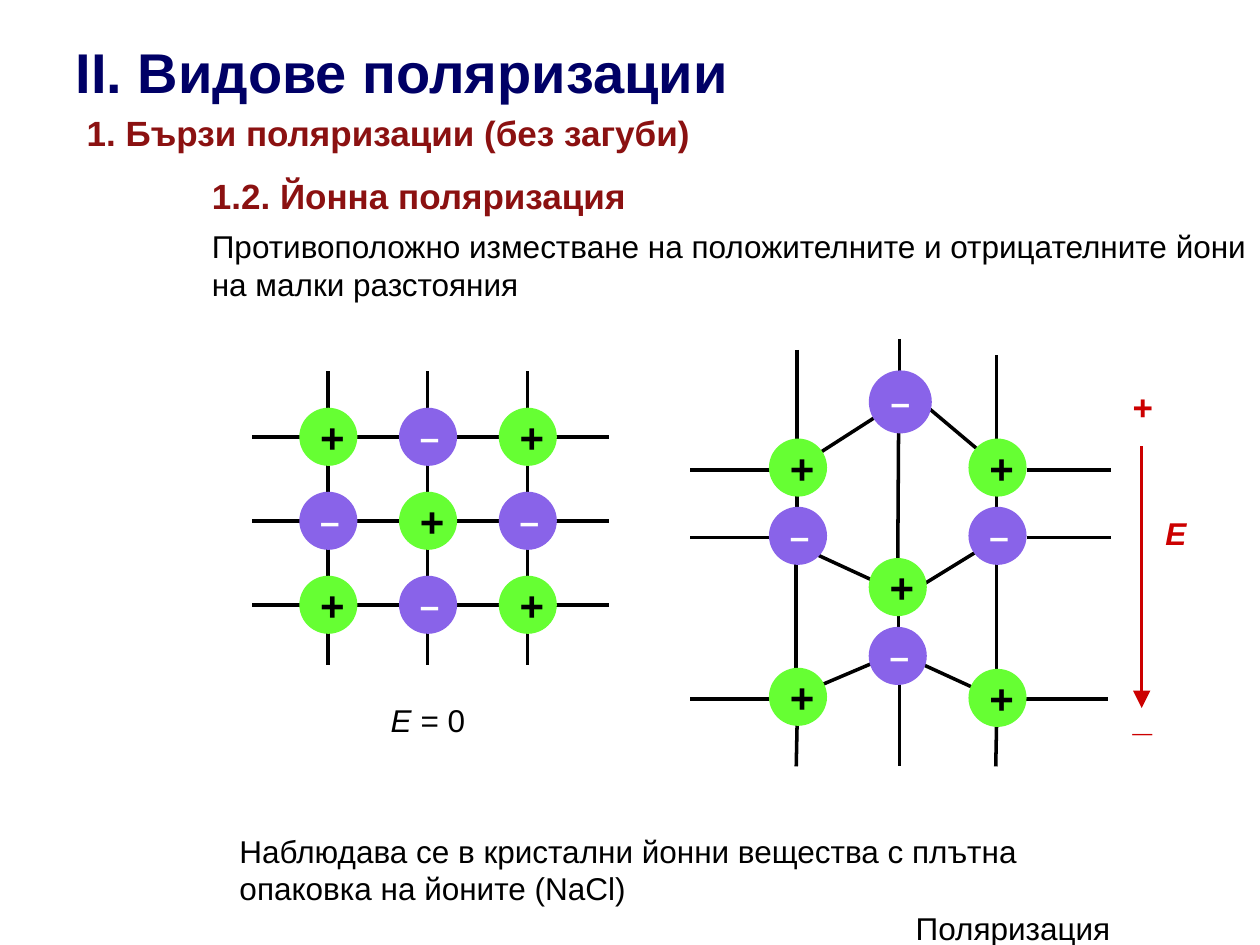
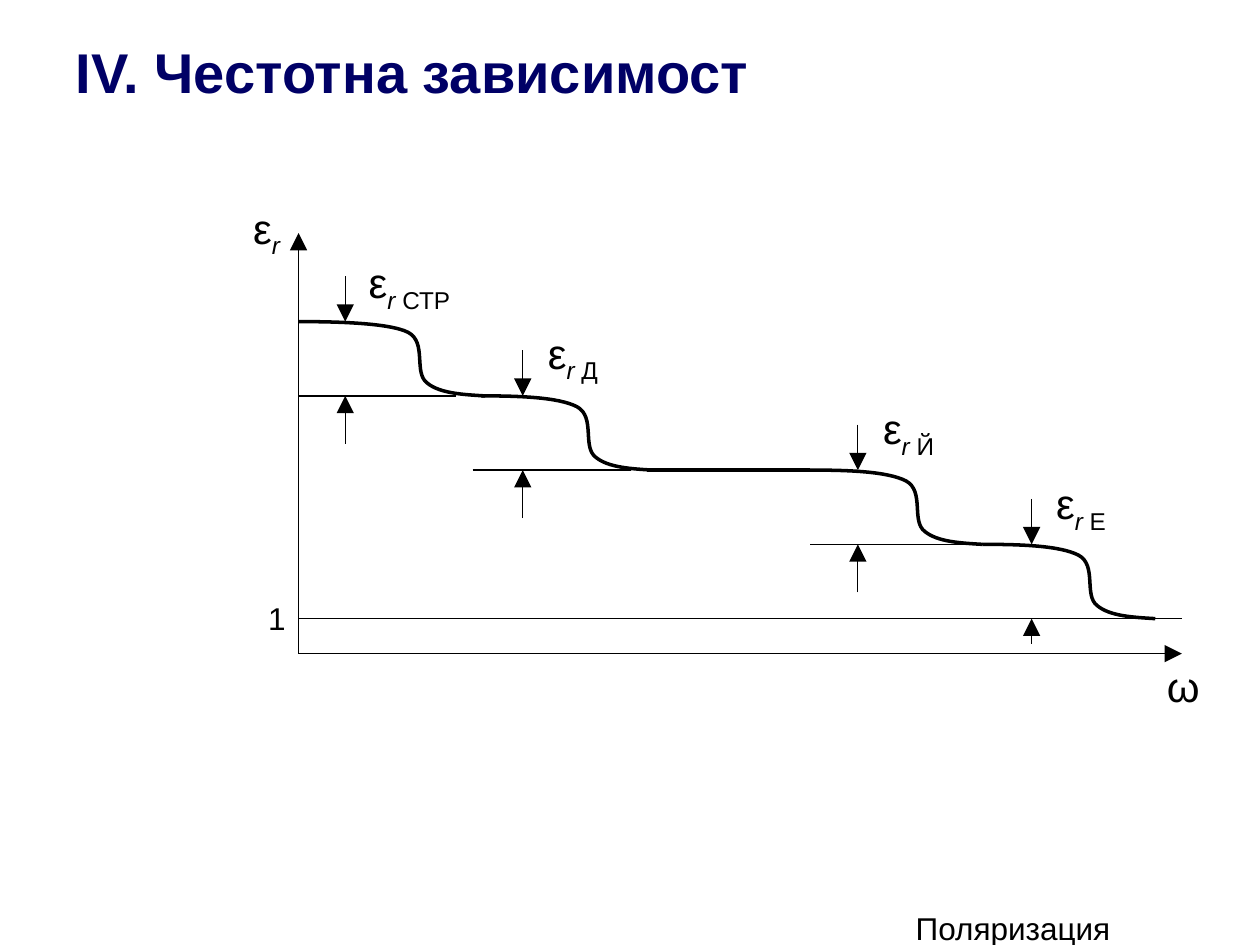
from lxml import etree
from pptx import Presentation
from pptx.dml.color import RGBColor
from pptx.enum import shapes, text
from pptx.oxml import ns
from pptx.util import Pt

FONT = "Arial"
COLORS = {
    "title": "000066",
    "heading": "8B1111",
    "ink": "000000",
    "white": "FFFFFF",
    "cation": "66FF33",
    "anion": "8963E9",
    "field": "CC0000",
}
ION = 33.2
COLUMN_GAP = 57


def rgb(name):
    return RGBColor.from_string(COLORS[name])


class Deck:
    """Holds the style and the slide being drawn."""

    def __init__(self):
        self.prs = Presentation()
        self.prs.slide_width, self.prs.slide_height = Pt(720), Pt(540)
        self.slide = None

    def new_slide(self, title, title_width):
        self.slide = self.prs.slides.add_slide(self.prs.slide_layouts[5])
        heading = self.slide.shapes.title
        heading.left, heading.top = Pt(36), Pt(18)
        heading.width, heading.height = Pt(title_width), Pt(45.4)
        frame = heading.text_frame
        frame.text = title
        frame.word_wrap = False
        frame.auto_size = text.MSO_AUTO_SIZE.NONE
        frame.vertical_anchor = text.MSO_ANCHOR.TOP
        frame.paragraphs[0].alignment = text.PP_ALIGN.LEFT
        self.style(frame.paragraphs[0].runs[0], 32, "title", bold=True)
        self.label(516.2, 516.2, 168, 19.5, "Поляризация")

    def style(self, run, size, color, bold=False, italic=False, subscript=False):
        font = run.font
        font.name, font.size, font.bold, font.italic = FONT, Pt(size), bold, italic
        font.color.rgb = rgb(color)
        if subscript:
            run._r.get_or_add_rPr().set("baseline", "-25000")

    def label(self, left, top, width, height, words, size=18, color="ink",
              bold=False, italic=False, wrap=False):
        box = self.slide.shapes.add_textbox(Pt(left), Pt(top), Pt(width), Pt(height))
        frame = box.text_frame
        frame.word_wrap = wrap
        frame.text = words
        self.style(frame.paragraphs[0].runs[0], size, color, bold, italic)
        return frame.paragraphs[0]

    def add_run(self, paragraph, words, size, **look):
        run = paragraph.add_run()
        run.text = words
        self.style(run, size, "ink", **look)

    def permittivity(self, left, top, width, mechanism=""):
        """The symbol ε with the subscript r and a mechanism."""
        symbol = self.label(left, top, width, 36, "ε", size=24)
        self.add_run(symbol, "r " if mechanism else "r", 24, italic=True, subscript=True)
        if mechanism:
            self.add_run(symbol, mechanism, 24, subscript=True)

    def line(self, x1, y1, x2, y2, width=2, color="ink", arrow=False):
        link = self.slide.shapes.add_connector(
            shapes.MSO_CONNECTOR.STRAIGHT, Pt(x1), Pt(y1), Pt(x2), Pt(y2))
        link.line.width = Pt(width)
        link.line.color.rgb = rgb(color)
        if arrow:
            etree.SubElement(link.line._get_or_add_ln(), ns.qn("a:tailEnd"),
                             type="triangle", w="lg", len="lg")
        etree.SubElement(link._element.spPr, ns.qn("a:effectLst"))

    def ion(self, x, y, sign, diameter=ION):
        """A charged circle centred at x, y."""
        circle = self.slide.shapes.add_shape(
            shapes.MSO_SHAPE.OVAL, Pt(x - diameter / 2), Pt(y - diameter / 2),
            Pt(diameter), Pt(diameter))
        circle.shadow.inherit = False
        circle.fill.solid()
        circle.fill.fore_color.rgb = rgb("cation" if sign == "+" else "anion")
        circle.line.fill.background()
        frame = circle.text_frame
        frame.text = sign
        frame.word_wrap = True
        frame.vertical_anchor = text.MSO_ANCHOR.MIDDLE
        frame.paragraphs[0].alignment = text.PP_ALIGN.CENTER
        size, color = (24, "ink") if sign == "+" else (20, "white")
        self.style(frame.paragraphs[0].runs[0], size, color, bold=True)

    def curve(self, points, width=2):
        """A cubic curve through every third point; the others are its controls."""
        points = [(Pt(x), Pt(y)) for x, y in points]
        builder = self.slide.shapes.build_freeform(*points[0], scale=1.0)
        builder.add_line_segments(points[1:], close=False)
        outline = builder.convert_to_shape()
        segments = list(outline._element.iter(ns.qn("a:lnTo")))
        for i in range(0, len(segments), 3):
            bend = etree.SubElement(segments[i].getparent(), ns.qn("a:cubicBezTo"))
            for segment in segments[i:i + 3]:
                bend.append(segment[0])
                segment.getparent().remove(segment)
        outline.shadow.inherit = False
        outline.fill.background()
        outline.line.color.rgb = rgb("ink")
        outline.line.width = Pt(width)


def resting_lattice(deck):
    columns = [187.6 + COLUMN_GAP * i for i in range(3)]
    rows = [249.6 + 48 * i for i in range(3)]
    for x in columns:
        deck.line(x - 0.2, 212.2, x - 0.2, 380)
    for y in rows:
        deck.line(144, y, 348, y)
    for i, x in enumerate(columns):
        for j, y in enumerate(rows):
            deck.ion(x, y, "–" if (i + j) % 2 else "+")
    equation = deck.label(216.2, 397.2, 57, 29, "Е", italic=True)
    deck.add_run(equation, " = 0", 18)


def displaced_lattice(deck):
    left, middle, right = [456 + COLUMN_GAP * i for i in range(3)]
    for y, right_end in ((268.7, 634.6), (307.2, 634.6), (399.3, 633)):
        deck.line(394.5, y, 443, y)
        deck.line(right_end - 48, y, right_end, y)
    bonds = [
        (455.5, 200, 455.5, 251), (455.5, 281.5, 455.5, 293), (455, 322.5, 455, 386.5),
        (455.5, 413, 455, 438),
        (514, 193.7, 514, 217.5), (513.5, 242, 513, 322.5), (513.5, 350, 513.5, 362),
        (514, 391, 514, 438),
        (569.5, 203, 569.5, 253.5), (569.5, 281.5, 569.5, 293),
        (569.5, 322.5, 569.5, 382.5), (569.5, 413, 569, 438),
        (504.7, 235.5, 466.5, 260), (526.5, 229.7, 562.5, 260),
        (466.5, 316.8, 502.5, 333.4), (562.5, 312.5, 524, 336.2),
        (522, 377.3, 558, 393.8), (502.5, 377.3, 463.7, 393.8),
    ]
    for bond in bonds:
        deck.line(*bond)
    deck.ion(514.5, 229.7, "–", diameter=36)
    for x, y, sign in (
        (left, 267.2, "+"), (right, 267.2, "+"), (left, 306.2, "–"), (right, 306.2, "–"),
        (middle, 335.5, "+"), (middle, 374.8, "–"), (left, 398.2, "+"), (right, 398.8, "+"),
    ):
        deck.ion(x, y, sign)


def field_arrow(deck):
    look = {"color": "field", "bold": True}
    deck.label(658.8, 290.2, 31.5, 29, "Е", italic=True, **look)
    deck.line(652.4, 254.9, 652.4, 404.6, width=1.5, color="field", arrow=True)
    for top, sign in ((216.7, "+"), (394.6, "_")):
        deck.label(640.1, top, 26, 31, sign, size=20, **look)


def ionic_polarisation(deck):
    deck.new_slide("ІІ. Видове поляризации", 388)
    heading = {"size": 20, "color": "heading", "bold": True}
    deck.label(42.5, 60, 360, 31, "1. Бързи поляризации (без загуби)", **heading)
    deck.label(114, 96, 251, 31, "1.2. Йонна поляризация", **heading)
    deck.label(114, 126.2, 606, 50, "Противоположно изместване на положителните "
               "и отрицателните йони на малки разстояния", wrap=True)
    deck.label(129.8, 471.7, 485, 50, "Наблюдава се в кристални йонни вещества "
               "с плътна опаковка на йоните (NaCl)", wrap=True)
    resting_lattice(deck)
    displaced_lattice(deck)
    field_arrow(deck)


def permittivity_step(x, y, lead=0):
    """Points of one S-shaped drop; the lead lengthens its flat start."""
    start = [(0, 0), (21, 0)]
    drop = [(44, 0.7), (54.7, 6.2), (65.5, 12), (57.6, 29.2), (65.5, 35.1),
            (72.7, 41), (85.7, 41.7), (98.6, 42.45)]
    return [(x + dx, y + dy) for dx, dy in start + [(lead + dx, dy) for dx, dy in drop]]


def frequency_dependence(deck):
    deck.new_slide("ІV. Честотна зависимост", 404)
    origin_x, origin_y, axis_end = 170.6, 373.5, 675.4
    levels = [183.8 + 42.42 * i for i in range(5)]
    thin = 0.75
    deck.line(origin_x, origin_y, origin_x, 133.2, thin, arrow=True)
    deck.line(origin_x, origin_y, axis_end, origin_y, thin, arrow=True)
    deck.label(146.2, 339, 24.5, 29, "1")
    deck.permittivity(137.6, 111.9, 30)
    deck.label(659.8, 373.7, 31, 36, "ω", size=24)

    # mechanism, label left, top and width, arrow x, curve start, flat lead, floor, up arrow
    steps = [
        ("СТР", 203.6, 143.1, 67, 197.3, origin_x, 8, (origin_x, 260.6), 27.4),
        ("Д", 306, 183.5, 46, 298.7, 275, 0, (270, 360.7), 27.4),
        ("Й", 497.5, 226.6, 46, 490.2, 463, 0, (463, 571), 27.4),
        ("Е", 596.4, 269.5, 45, 589.5, 561.6, 0, (origin_x, axis_end), 14.4),
    ]
    for step, top, floor in zip(steps, levels, levels[1:]):
        mechanism, left, label_top, width, arrow_x, start, lead, ends, tail = step
        deck.line(ends[0], floor, ends[1], floor, thin)
        deck.curve(permittivity_step(start, top, lead))
        deck.line(arrow_x, top - 26, arrow_x, top, thin, arrow=True)
        deck.line(arrow_x, floor + tail, arrow_x, floor, thin, arrow=True)
        deck.permittivity(left, label_top, width, mechanism)
    deck.line(463, levels[2], 370, levels[2])


def main():
    deck = Deck()
    ionic_polarisation(deck)
    frequency_dependence(deck)
    deck.prs.save("out.pptx")


if __name__ == "__main__":
    main()
